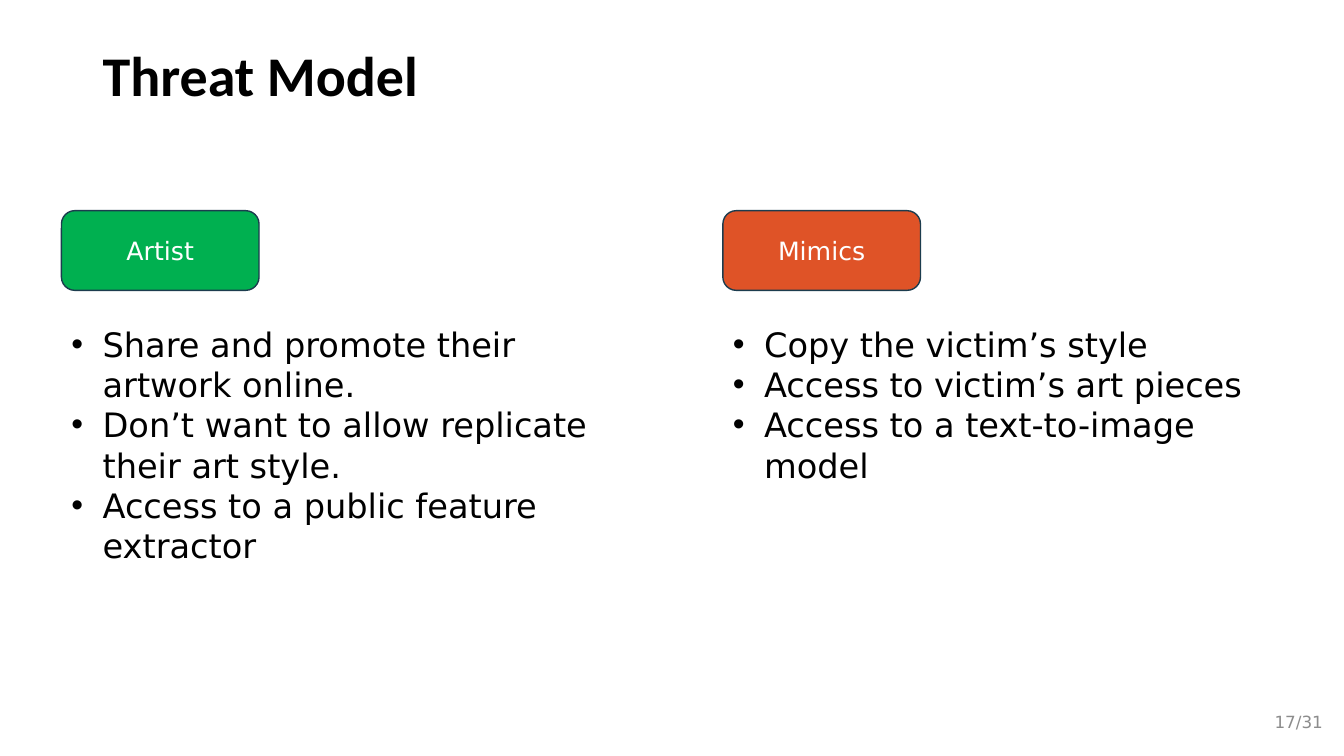
from lxml import etree
from pptx import Presentation
from pptx.dml.color import RGBColor
from pptx.enum import shapes, text
from pptx.oxml import ns
from pptx.util import Inches, Pt

COLORS = {
    "ink": "000000",
    "white": "FFFFFF",
    "artist": "00B050",
    "mimics": "DF5327",
    "outline": "1C3C4E",
    "page": "8C8C8C",
}
BODY_FONT = "DejaVu Sans"
BULLET_INDENT = Inches(0.31)

PARTIES = [
    ("Artist", "artist", 2.93, [
        "Share and promote their artwork online.",
        "Don’t want to allow replicate their art style.",
        "Access to a public feature extractor",
    ]),
    ("Mimics", "mimics", 2.12, [
        "Copy the victim’s style",
        "Access to victim’s art pieces",
        "Access to a text-to-image model",
    ]),
]


def rgb(name):
    return RGBColor.from_string(COLORS[name])


def add_bullet(paragraph):
    properties = paragraph._p.get_or_add_pPr()
    properties.set("marL", str(BULLET_INDENT))
    properties.set("indent", str(-BULLET_INDENT))
    font = etree.SubElement(properties, ns.qn("a:buFont"))
    font.set("typeface", "Arial")
    etree.SubElement(properties, ns.qn("a:buChar")).set("char", "•")


def write(shape, lines, size, color="ink", font=BODY_FONT, bold=False, align="LEFT",
          anchor="MIDDLE", bullets=False, line_spacing=None):
    """Fill a shape with one paragraph per line, all in the same format."""
    frame = shape.text_frame
    frame.word_wrap = True
    frame.vertical_anchor = text.MSO_ANCHOR[anchor]
    for index, line in enumerate(lines):
        paragraph = frame.add_paragraph() if index else frame.paragraphs[0]
        if bullets:
            add_bullet(paragraph)
        paragraph.alignment = text.PP_ALIGN[align]
        if line_spacing:
            paragraph.line_spacing = line_spacing
        run = paragraph.add_run()
        run.text = line
        run.font.size = Pt(size)
        run.font.name = font
        run.font.bold = bold
        run.font.color.rgb = rgb(color)


def add_text(slide, left, top, width, height, lines, size, **style):
    box = slide.shapes.add_textbox(*map(Inches, (left, top, width, height)))
    write(box, lines, size, **style)


def add_party(slide, left, top, width, name, color, list_height, points):
    """Place a coloured label with its bullet list below."""
    label = slide.shapes.add_shape(
        shapes.MSO_SHAPE.ROUNDED_RECTANGLE,
        *map(Inches, (left, top, 1.96, 0.79)))
    label.shadow.inherit = False
    label.fill.solid()
    label.fill.fore_color.rgb = rgb(color)
    label.line.color.rgb = rgb("outline")
    label.line.width = Pt(1)
    write(label, [name], 18, color="white", align="CENTER")
    add_text(slide, left, top + 1.07, width, list_height, points, 24,
             anchor="TOP", bullets=True)


def main():
    presentation = Presentation()
    presentation.slide_width = Inches(13.33)
    presentation.slide_height = Inches(7.5)
    slide = presentation.slides.add_slide(presentation.slide_layouts[6])

    add_text(slide, 0.92, 0.4, 11.5, 0.76, ["Threat Model"], 40,
             font="Calibri", bold=True, line_spacing=0.9)
    for column, party in enumerate(PARTIES):
        add_party(slide, 0.61 + column * 6.56, 2.09, 5.84, *party)
    add_text(slide, 10.22, 6.96, 3, 0.4, ["17/31"], 12, color="page", align="RIGHT")

    presentation.save("out.pptx")


if __name__ == "__main__":
    main()
